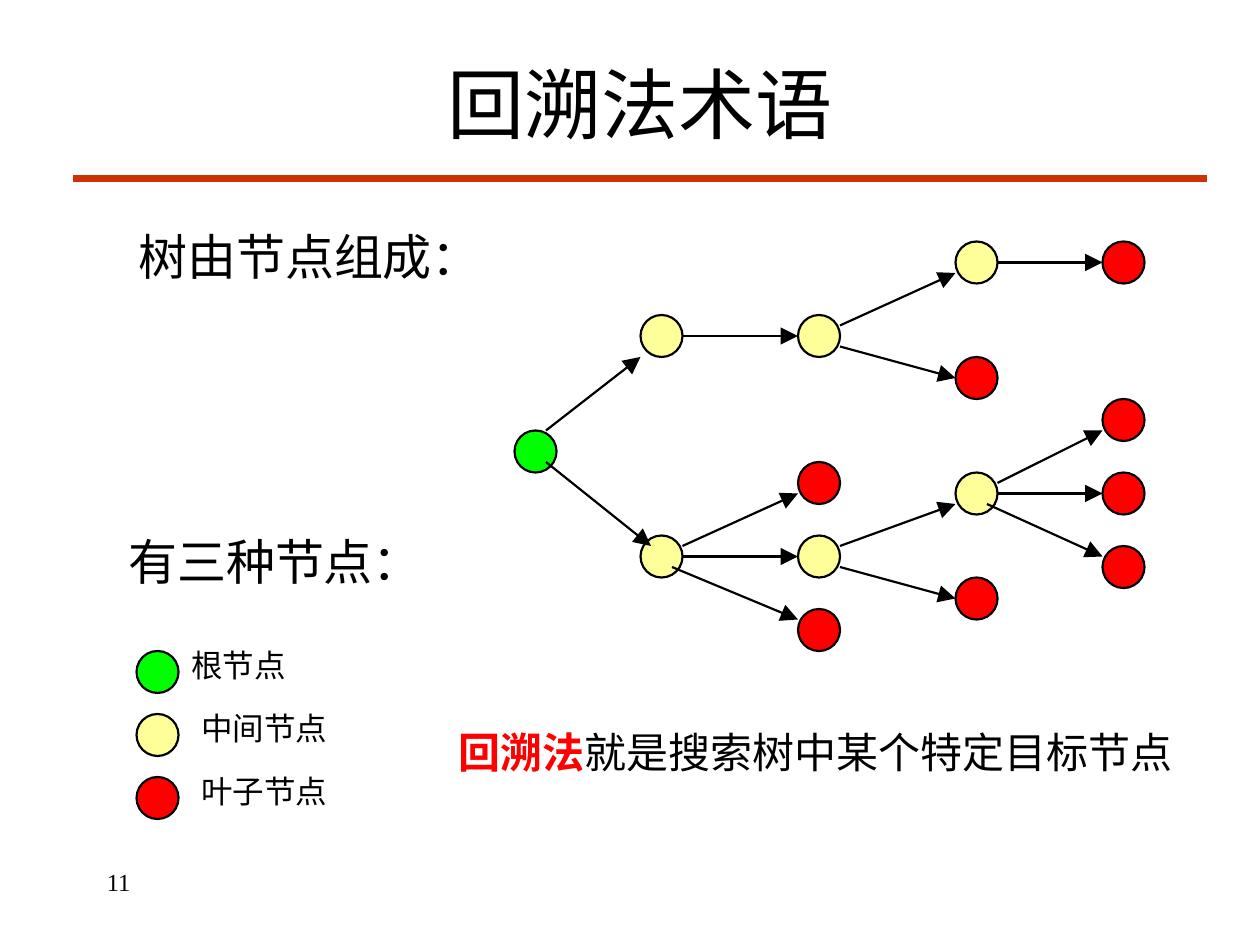
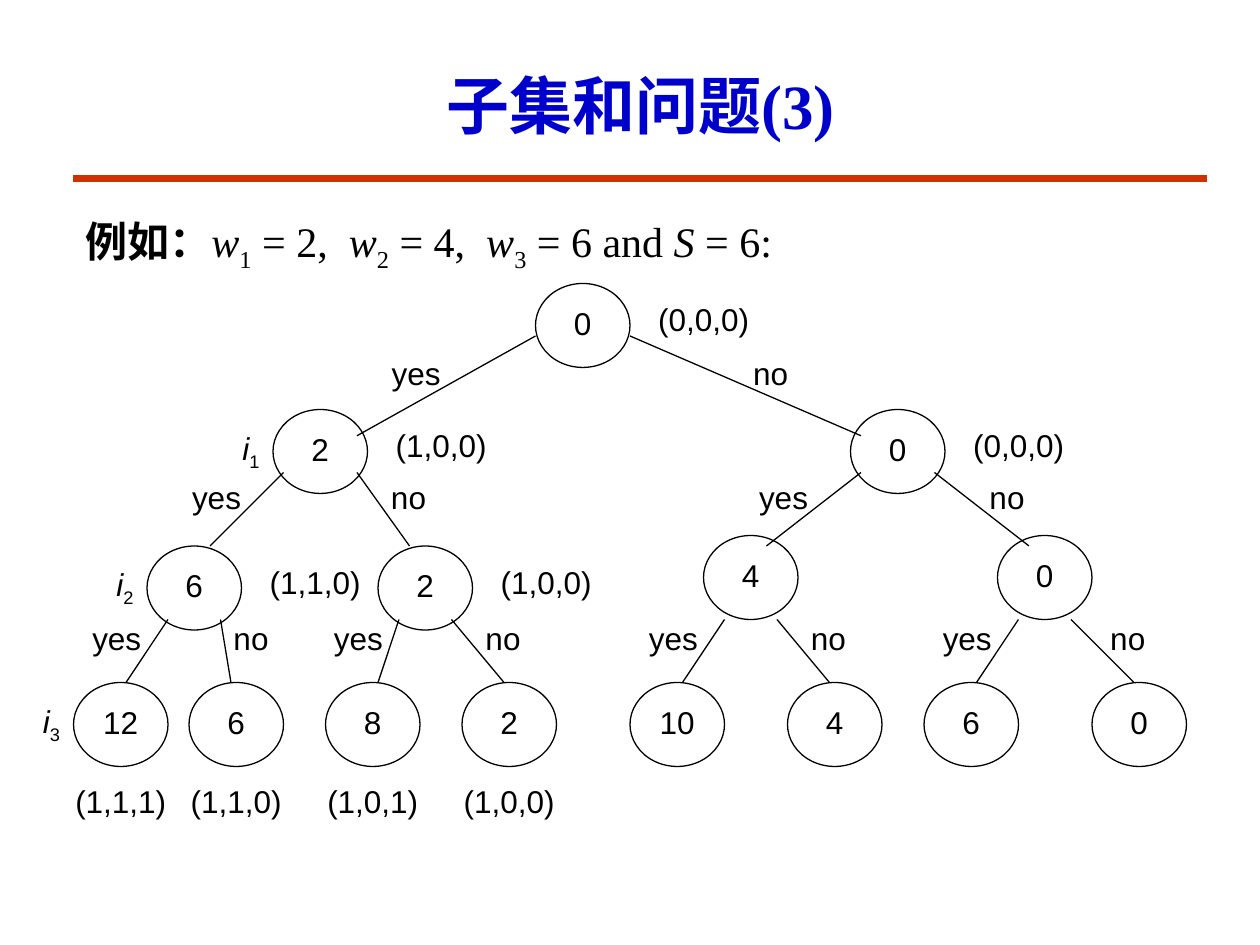
from itertools import product
from pptx import Presentation
from pptx.util import Inches, Pt
from pptx.dml.color import RGBColor as RGB
from pptx.enum.shapes import MSO_SHAPE as Shape, MSO_CONNECTOR as Line
from pptx.enum.text import PP_ALIGN as Align, MSO_ANCHOR as Anchor, MSO_AUTO_SIZE as Fit
from pptx.oxml.ns import qn
from lxml import etree

WIDE, HIGH = 10, 7.5
GRID = 12  # both trees sit on a grid of twelve cells to the inch
INK = {"black": "000000", "rule": "CC3300", "blue": "0000CC", "red": "FF0000",
       "root": "00FF00", "mid": "FFFF99", "leaf": "FF0000"}
SERIF, SANS = "Times New Roman", "Arial"
RULE = (7, 17, 115, 17)  # line under each title, in cells

# ---- Content: terms ----
# A node is (row, children); its depth picks the column
TREE = (41, [
    (30, [(30, [(23, [(23, [])]),
                (34, [])])]),
    (51, [(44, []),
          (51, [(45, [(38, []), (45, []), (52, [])]),
                (55, [])]),
          (58, [])]),
])
COLS = (49, 61, 76, 91, 105)
DOT = 4
# Arrow ends by how far the child lies below its parent:
# (largest drop, point on the parent, point on the child)
PORTS = [(-10, (3, 0), (0, 4)),
         (-1, (4, 1), (0, 3)),
         (0, (4, 2), (0, 2)),
         (4, (4, 3), (0, 2)),
         (7, (3, 3), (0, 1)),
         (10, (3, 3), (1, 1))]
KEY = [("root", "根节点", 1.42), ("mid", "中间节点", 1.5), ("leaf", "叶子节点", 1.5)]
HEADS = [("有三种节点：", 0.92, 4.17), ("树由节点组成：", 1, 1.75)]
GOAL = [("回溯法", "br"), ("就是搜索树中某个特定目标节点", "")]

# ---- Content: subset sums ----
WEIGHTS = (2, 4, 6)
GOAL_SUM = 6
OVAL_W, OVAL_H = 9, 8
# One entry per depth: row of the ovals, and their columns from left to right
LEVELS = [(27, (51,)),
          (39, (26, 81)),
          (52, (14, 36, 67, 95)),
          (65, (7, 18, 31, 44, 60, 75, 88, 104))]
# Ends of a "yes" edge by depth: point on the parent, point on the child.
# A "no" edge is its mirror image.
YES_ENDS = {1: ((0, 5), (8, 2.5)), 2: ((1, 6), (6, 0)), 3: ((2, 7), (5, 0))}
# Where a label's centre lies, in inches from the oval's or the edge's centre
BESIDE, BELOW, BEFORE = (0.96, -0.05), (0, 0.61), (-0.55, -0.03)
REPLY = {"yes": (-0.24, -0.1), "no": (0.2, -0.1)}


# ---- Helpers ----
def write(box, runs, size=18, font=SERIF, color="black", wrap=True,
          align=Align.LEFT, anchor=Anchor.TOP):
    """Runs are a string or (text, marks): b bold, i italic, s subscript, r red."""
    frame = box.text_frame
    frame.auto_size, frame.word_wrap = Fit.NONE, wrap
    frame.vertical_anchor = anchor
    para = frame.paragraphs[0]
    para.alignment = align
    for words, marks in [(runs, "")] if isinstance(runs, str) else runs:
        run = para.add_run()
        run.text = words
        face = run.font
        face.name, face.size = font, Pt(size)
        face.bold, face.italic = "b" in marks, "i" in marks
        face.color.rgb = RGB.from_string(INK["red" if "r" in marks else color])
        if "s" in marks:
            run._r.get_or_add_rPr().set("baseline", "-25000")


def text(slide, runs, x, y, w, h=0.4, **form):
    box = slide.shapes.add_textbox(*map(Inches, (x, y, w, h)))
    write(box, runs, **form)


def label(slide, runs, mid, shift, w=0.5, h=0.4):
    """Text centred at a shift from a middle point."""
    x, y = mid[0] + shift[0] - w / 2, mid[1] + shift[1] - h / 2
    text(slide, runs, x, y, w, h, font=SANS, wrap=False, align=Align.CENTER)


def cells(*spans):
    return [Inches(n / GRID) for n in spans]


def oval(slide, x, y, w, h, fill=None, weight=0.75):
    dot = slide.shapes.add_shape(Shape.OVAL, *cells(x, y, w, h))
    dot.shadow.inherit = False
    if fill:
        dot.fill.solid()
        dot.fill.fore_color.rgb = RGB.from_string(INK[fill])
    else:
        dot.fill.background()
    dot.line.color.rgb = RGB.from_string(INK["black"])
    dot.line.width = Pt(weight)
    return dot


def edge(slide, ends, color="black", weight=0.75, arrow=False):
    link = slide.shapes.add_connector(Line.STRAIGHT, *cells(*ends))
    link.line.color.rgb = RGB.from_string(INK[color])
    link.line.width = Pt(weight)
    if arrow:
        etree.SubElement(link.line._get_or_add_ln(), qn("a:tailEnd"),
                         type="triangle", w="lg", len="lg")
    etree.SubElement(link.element.spPr, qn("a:effectLst"))


def start(deck, title, place, **form):
    """New slide with its title and the rule below it."""
    slide = deck.slides.add_slide(deck.slide_layouts[5])
    edge(slide, RULE, "rule", 4.5)
    head = slide.shapes.title
    head.left, head.top, head.width, head.height = map(Inches, place)
    write(head, title, align=Align.CENTER, anchor=Anchor.MIDDLE, **form)
    return slide


# ---- Slide: terms ----
def grow(slide, tree, depth=0):
    """Draw a node, then each branch and the arrow that leads to it."""
    row, kids = tree
    kind = "root" if depth == 0 else "mid" if kids else "leaf"
    oval(slide, COLS[depth], row, DOT, DOT, kind, 1.25)
    for kid in kids:
        grow(slide, kid, depth + 1)
        drop = kid[0] - row
        out, into = next((a, b) for most, a, b in PORTS if drop <= most)
        ends = (COLS[depth] + out[0], row + out[1],
                COLS[depth + 1] + into[0], kid[0] + into[1])
        edge(slide, ends, weight=1.25, arrow=True)


def terms(deck):
    slide = start(deck, "回溯法术语", (0.83, 0.19, 8.5, 1.25), size=44)
    text(slide, "11", 0.75, 6.83, 2.08, 0.5, size=14)
    grow(slide, TREE)
    for words, x, y in HEADS:
        text(slide, words, x, y, 4.17, 0.57, size=28)
    for i, (kind, words, x) in enumerate(KEY):
        oval(slide, 13, 62 + 6 * i, DOT, DOT, kind, 1.25)
        text(slide, words, x, 5.08 + i / 2, 2.58)
    text(slide, GOAL, 3.54, 5.72, 5.89, 0.5, size=24)


# ---- Slide: subset sums ----
def case():
    """The line that states the weights and the wanted sum."""
    runs = [("例如：", "b")]
    for i, weight in enumerate(WEIGHTS, 1):
        tail = " and" if i == len(WEIGHTS) else ",  "
        runs += [("w", "i"), (str(i), "s"), (f" = {weight}{tail}", "")]
    return runs + [(" S", "i"), (f" = {GOAL_SUM}:", "")]


def branch(slide, depth, spot, took):
    """Edge from the parent above, with its answer."""
    (px, py), (cx, cy) = YES_ENDS[depth]
    if not took:
        px, cx = OVAL_W - px, OVAL_W - cx
    (up, over), (row, cols) = LEVELS[depth - 1:depth + 1]
    x1, y1 = over[spot // 2] + px, up + py
    x2, y2 = cols[spot] + cx, row + cy
    edge(slide, (x1, y1, x2, y2))
    answer = "yes" if took else "no"
    mid = ((x1 + x2) / 2 / GRID, (y1 + y2) / 2 / GRID)
    label(slide, answer, mid, REPLY[answer], 0.59)


def sums(deck):
    slide = start(deck, [("子集和问题(3)", "b")], (0.67, 0.33, 8.83, 1),
                  size=36, color="blue")
    text(slide, case(), 0.58, 1.55, 8.83, 0.78, size=24, anchor=Anchor.MIDDLE)

    last = len(WEIGHTS)
    for depth, (row, cols) in enumerate(LEVELS):
        # Choices in order: 1 takes the weight, 0 leaves it out
        paths = product((1, 0), repeat=depth)
        for spot, (col, path) in enumerate(zip(cols, paths)):
            left = depth == 0 or path[0] == 1
            # The right half of the third row sits one cell higher
            top = row - 1 if depth == 2 and not left else row
            mid = ((col + OVAL_W / 2) / GRID, (top + OVAL_H / 2) / GRID)
            oval(slide, col, top, OVAL_W, OVAL_H)
            total = sum(w for w, took in zip(WEIGHTS, path) if took)
            label(slide, str(total), mid, (0, -0.02))
            if depth:
                branch(slide, depth, spot, path[-1])
            if left or depth == 1:
                full = path + (0,) * (last - depth)
                vector = f"({','.join(map(str, full))})"
                label(slide, vector, mid, BELOW if depth == last else BESIDE, 1.02)
            if depth and spot == 0:
                label(slide, [("i", "i"), (str(depth), "s")], mid, BEFORE, 0.35)


def main():
    deck = Presentation()
    deck.slide_width, deck.slide_height = Inches(WIDE), Inches(HIGH)
    terms(deck)
    sums(deck)
    deck.save("out.pptx")


if __name__ == "__main__":
    main()
